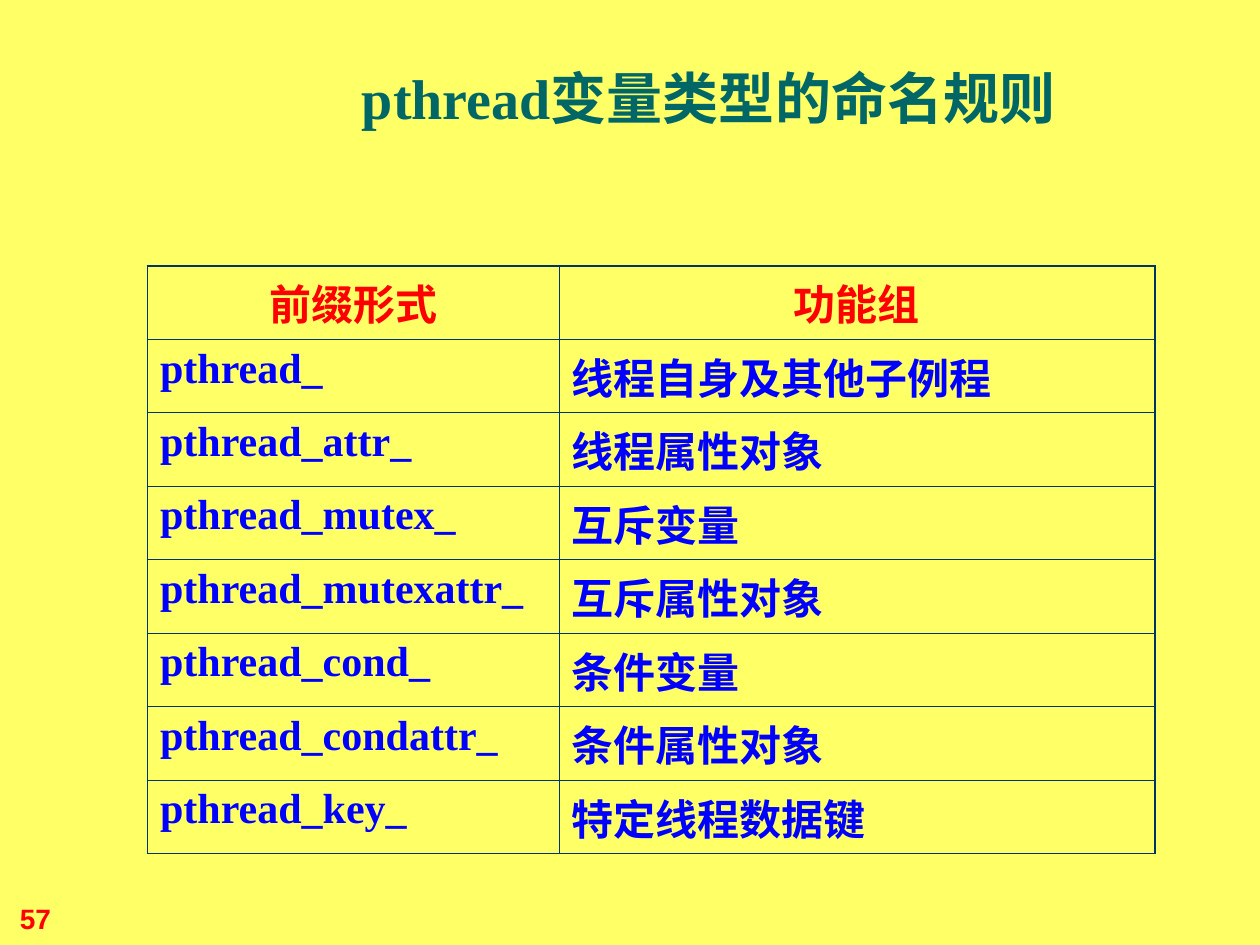
import pptx
import pptx.dml.color
import pptx.enum.text
import pptx.oxml.ns
import pptx.util
from lxml import etree

Pt = pptx.util.Pt
ALIGN = pptx.enum.text.PP_ALIGN
ANCHOR = pptx.enum.text.MSO_ANCHOR

NAMING_RULES = [
    ("前缀形式", "功能组"),
    ("pthread_", "线程自身及其他子例程"),
    ("pthread_attr_", "线程属性对象"),
    ("pthread_mutex_", "互斥变量"),
    ("pthread_mutexattr_", "互斥属性对象"),
    ("pthread_cond_", "条件变量"),
    ("pthread_condattr_", "条件属性对象"),
    ("pthread_key_", "特定线程数据键"),
]


def rgb(hex_colour):
    return pptx.dml.color.RGBColor.from_string(hex_colour)


def write(frame, text, size=24, colour="0000FF", font="Times New Roman",
          align=ALIGN.LEFT, line_spacing=None):
    paragraph = frame.paragraphs[0]
    paragraph.alignment = align
    paragraph.line_spacing = line_spacing
    run = paragraph.add_run()
    run.text = text
    run.font.name = font
    run.font.size = Pt(size)
    run.font.bold = True
    run.font.color.rgb = rgb(colour)


def draw_border(cell, side, width, colour):
    """Add one cell border; side is L, R, T or B, given in that order."""
    line = etree.SubElement(cell._tc.get_or_add_tcPr(),
                            pptx.oxml.ns.qn("a:ln" + side), w=str(Pt(width)))
    fill = etree.SubElement(line, pptx.oxml.ns.qn("a:solidFill"))
    etree.SubElement(fill, pptx.oxml.ns.qn("a:srgbClr"), val=colour)


class SlideBuilder:
    background = "FFFF66"
    title_colour = "006666"
    accent = "FF0000"
    border = "003366"
    outer_width, inner_width = 1.08, 0.45

    def __init__(self, slide):
        self.slide = slide
        slide.background.fill.solid()
        slide.background.fill.fore_color.rgb = rgb(self.background)

    def text(self, text, left, top, width, height, **style):
        box = self.slide.shapes.add_textbox(Pt(left), Pt(top), Pt(width), Pt(height))
        box.text_frame.word_wrap = True
        box.text_frame.vertical_anchor = ANCHOR.BOTTOM
        write(box.text_frame, text, align=ALIGN.CENTER, **style)

    def table(self, rows, left, top, column_widths, row_height):
        frame = self.slide.shapes.add_table(
            len(rows), len(column_widths), Pt(left), Pt(top),
            Pt(sum(column_widths)), Pt(row_height * len(rows)))
        table = frame.table
        table.first_row = table.horz_banding = False
        for column, width in zip(table.columns, column_widths):
            column.width = Pt(width)
        last_row, last_column = len(rows) - 1, len(column_widths) - 1
        for r, row in enumerate(rows):
            table.rows[r].height = Pt(row_height)
            for c, text in enumerate(row):
                cell = table.cell(r, c)
                outer_sides = {"L": c == 0, "R": c == last_column,
                               "T": r == 0, "B": r == last_row}
                for side, is_outer in outer_sides.items():
                    width = self.outer_width if is_outer else self.inner_width
                    draw_border(cell, side, width, self.border)
                cell.fill.background()
                heading = {"colour": self.accent, "align": ALIGN.CENTER} if r == 0 else {}
                write(cell.text_frame, text, **heading)


def main():
    deck = pptx.Presentation()
    deck.slide_width, deck.slide_height = Pt(720), Pt(540)
    builder = SlideBuilder(deck.slides.add_slide(deck.slide_layouts[6]))
    builder.text("57", -2.8, 511, 46, 27, size=16, font="Arial", colour=builder.accent)
    builder.text("pthread变量类型的命名规则", 90, 28, 630, 51, size=32,
                 colour=builder.title_colour, line_spacing=0.9)
    builder.table(NAMING_RULES, 84.3, 151.9, (235.1, 340.6), 42)
    deck.save("out.pptx")


if __name__ == "__main__":
    main()
